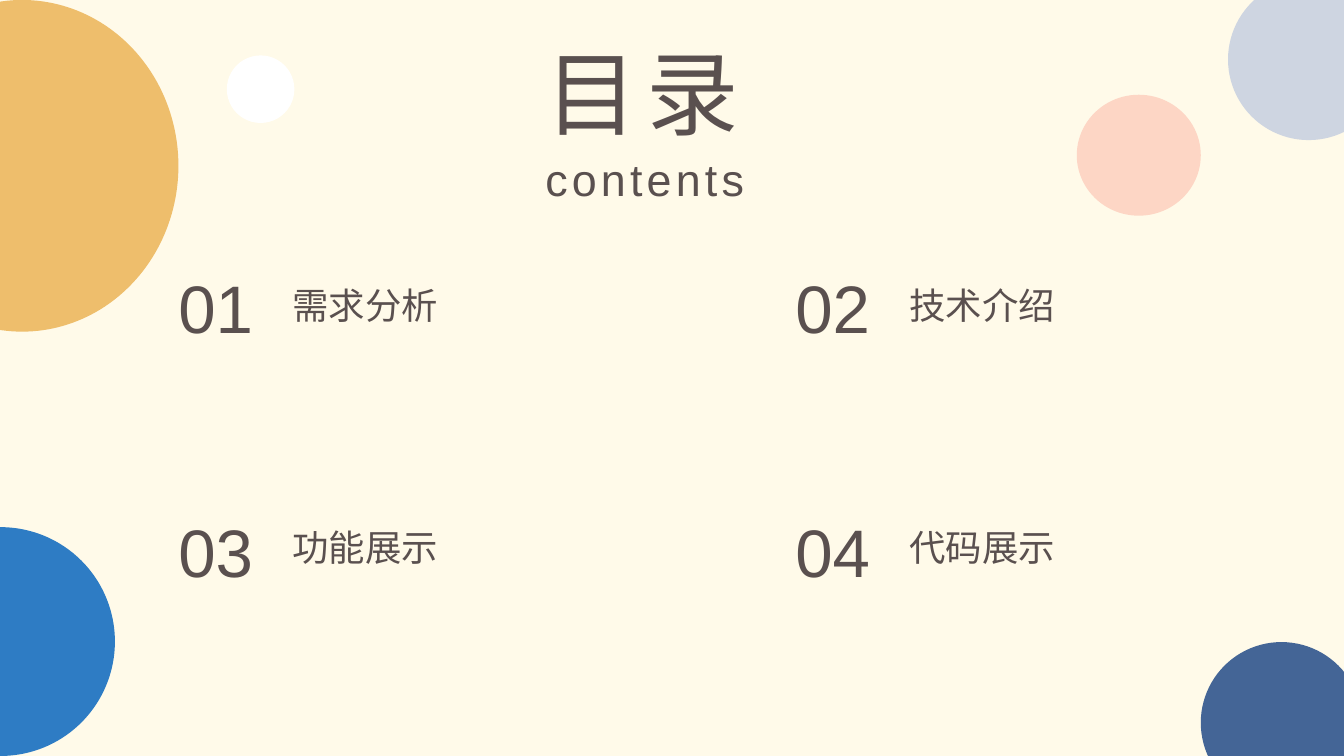
"""Builds the contents slide with four numbered topics."""
from lxml.etree import SubElement
from pptx import Presentation
from pptx.dml.color import RGBColor
from pptx.enum.shapes import MSO_SHAPE
from pptx.enum.text import MSO_AUTO_SIZE, PP_ALIGN
from pptx.oxml.ns import qn
from pptx.util import Inches, Pt


def color(value):
    return RGBColor.from_string(value)


def write_text(paragraph, text, *, size, font, ink, spacing=0, align=PP_ALIGN.LEFT):
    paragraph.alignment = align
    run = paragraph.add_run()
    run.text = text
    run.font.size = Pt(size)
    run.font.name = font
    run.font.color.rgb = color(ink)
    properties = run.font._element
    SubElement(properties, qn("a:ea")).set("typeface", font)
    if spacing:
        properties.set("spc", str(spacing * 100))


class ContentsSlide:
    font = "Arial"
    ink = "5A504F"
    background = "FFFAE9"

    def __init__(self, presentation):
        self.slide = presentation.slides.add_slide(presentation.slide_layouts[6])
        fill = self.slide.background.fill
        fill.solid()
        fill.fore_color.rgb = color(self.background)

    def circle(self, left, top, width, height, fill):
        shape = self.slide.shapes.add_shape(
            MSO_SHAPE.OVAL, Inches(left), Inches(top), Inches(width), Inches(height)
        )
        shape.shadow.inherit = False
        shape.fill.solid()
        shape.fill.fore_color.rgb = color(fill)
        shape.line.fill.background()

    def text(self, text, left, top, width, height, wrap=True, **text_format):
        shape = self.slide.shapes.add_textbox(
            Inches(left), Inches(top), Inches(width), Inches(height)
        )
        frame = shape.text_frame
        frame.word_wrap = wrap
        frame.auto_size = MSO_AUTO_SIZE.SHAPE_TO_FIT_TEXT
        write_text(frame.paragraphs[0], text, font=self.font, ink=self.ink, **text_format)

    def topic(self, number, label, left, number_top, label_top):
        self.text(f"{number:02d}", left, number_top, 0.97, 0.91,
                  size=48, align=PP_ALIGN.JUSTIFY)
        self.text(label, left + 1.13, label_top, 1.66, 0.54, wrap=False, size=26)


def main():
    presentation = Presentation()
    presentation.slide_width = Inches(13.33)
    presentation.slide_height = Inches(7.5)
    contents = ContentsSlide(presentation)

    contents.circle(-1.33, 0, 3.1, 3.29, "EEBE6C")
    contents.circle(-1.13, 5.23, 2.27, 2.27, "2E7CC4")

    columns = (1.67, 7.79)
    rows = ((2.59, 2.76), (5.01, 5.16))
    topics = ("需求分析", "技术介绍", "功能展示", "代码展示")
    for index, label in enumerate(topics):
        row, column = divmod(index, len(columns))
        contents.topic(index + 1, label, columns[column], *rows[row])

    contents.text("目录", 5.31, 0.31, 2.72, 1.06,
                  size=66, spacing=6, align=PP_ALIGN.JUSTIFY)
    contents.text("contents", 5.31, 1.46, 2.72, 0.56,
                  size=32, spacing=3, align=PP_ALIGN.JUSTIFY)

    contents.circle(12.18, -0.21, 1.6, 1.6, "CED5E1")
    contents.circle(10.68, 0.94, 1.23, 1.2, "FDD6C5")
    contents.circle(2.25, 0.55, 0.67, 0.67, "FFFFFF")
    contents.circle(11.91, 6.37, 1.6, 1.6, "446596")

    presentation.save("out.pptx")


if __name__ == "__main__":
    main()
